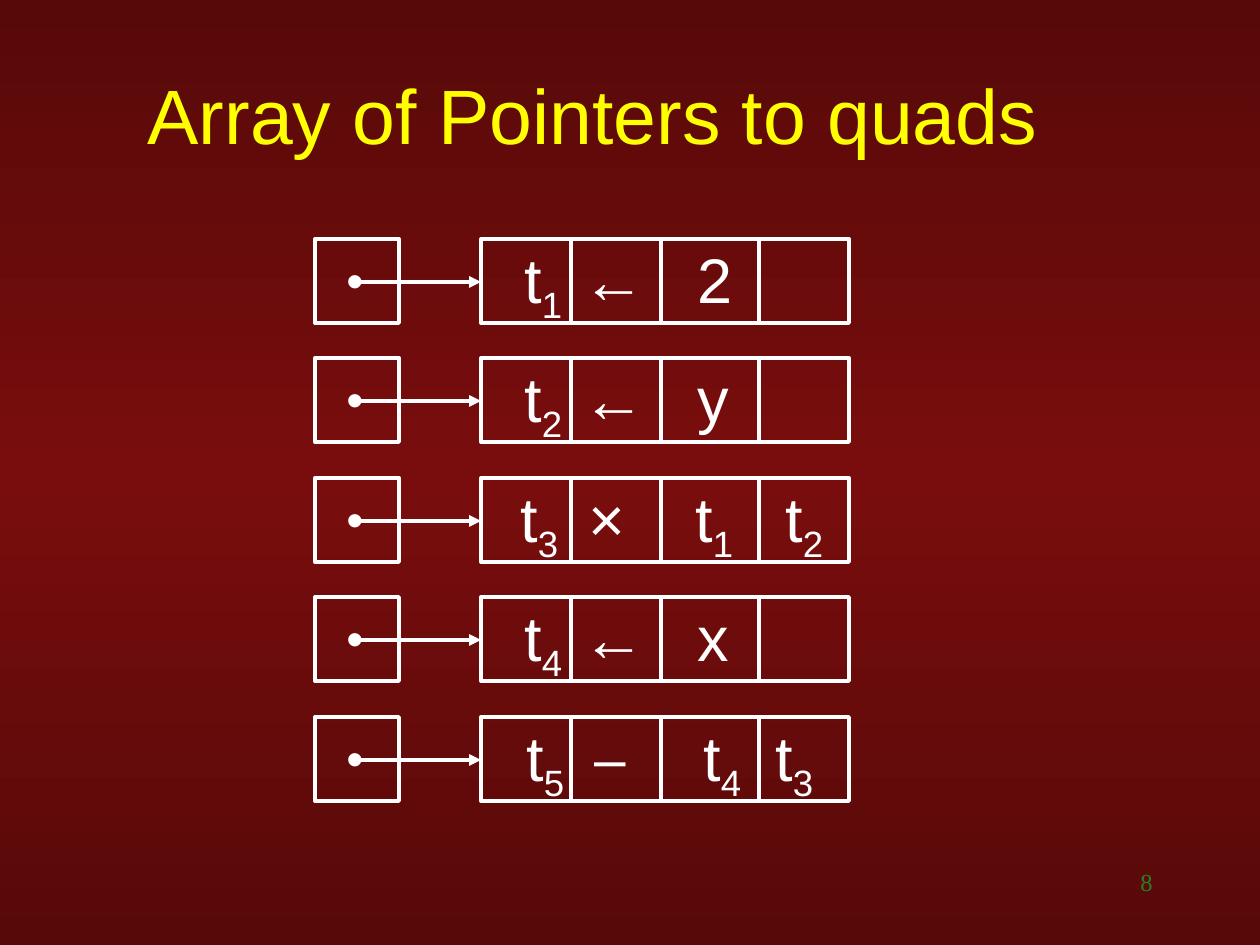
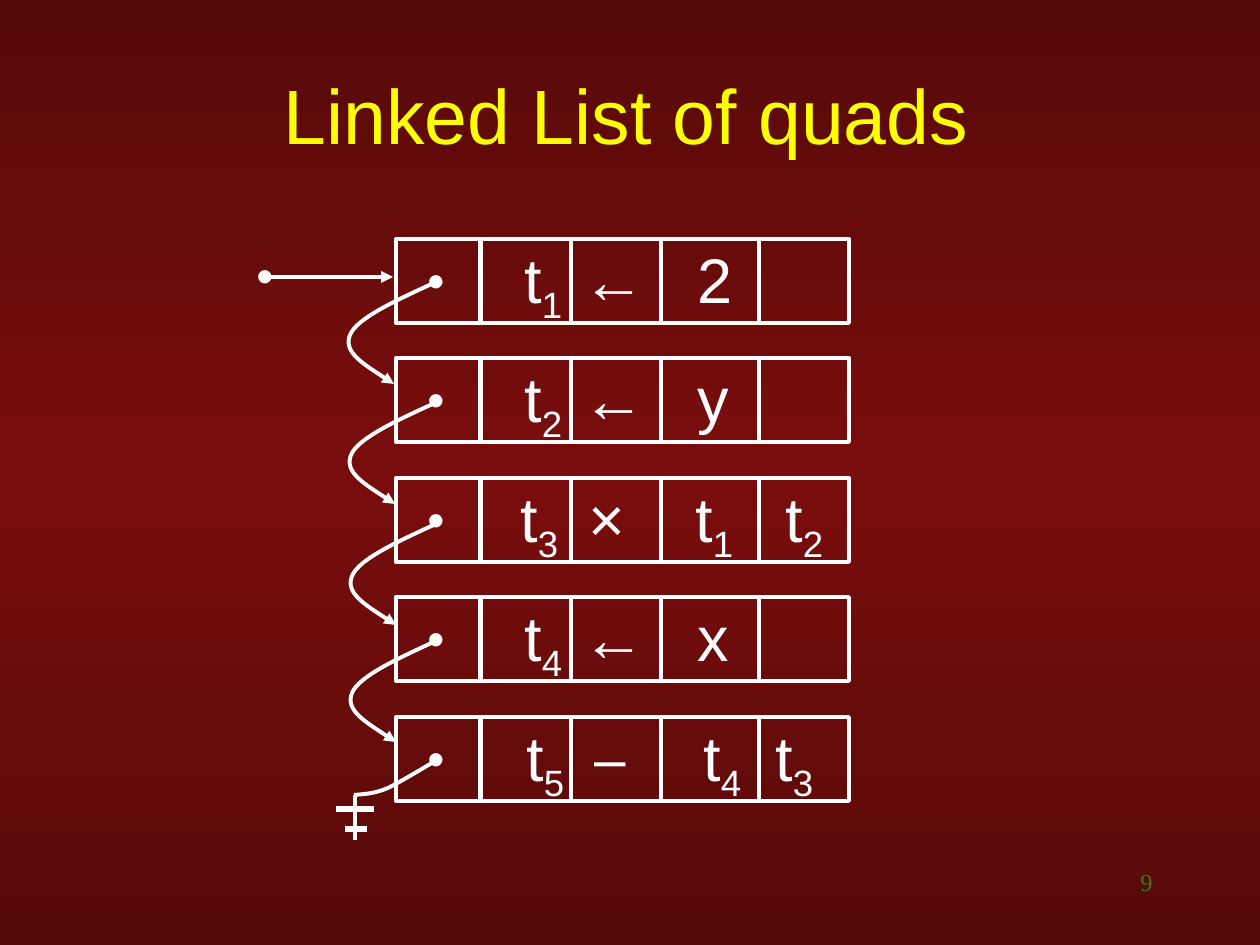
import copy
from dataclasses import dataclass

import pptx
import pptx.dml.color
import pptx.enum.shapes
import pptx.enum.text
import pptx.oxml.ns
import pptx.oxml.xmlchemy
import pptx.util

# Content: one quad per row; "t1" is the letter t with subscript 1.
# "left" is the box edge, "stops" the columns after the first, from the text edge.
QUADS = [
    {"cells": ("t1", "←", "2"), "left": 512, "stops": (58, 173)},
    {"cells": ("t2", "←", "y"), "left": 512, "stops": (58, 173)},
    {"cells": ("t3", "×", "t1", "t2"), "left": 508, "stops": (68, 175, 265)},
    {"cells": ("t4", "←", "x"), "left": 512, "stops": (58, 173)},
    {"cells": ("t5", "–", "t4", "t3"), "left": 514, "stops": (68, 177, 249)},
]
PAGES = [
    {"title": "Array of Pointers to quads", "title_left": 135, "title_width": 1051,
     "number": "8", "pointer_left": 315},
    {"title": "Linked List of quads", "title_left": 271, "title_width": 850,
     "number": "9", "pointer_left": 396},
]

# Geometry in px
PX_PER_INCH = 126
EMU_PER_PX = 914400 / PX_PER_INCH
PAGE_WIDTH, PAGE_HEIGHT = 1260, 945
FIRST_ROW, ROW_PITCH, CELL = 239, 119.5, 84
QUAD_LEFT, QUAD_WIDTH = 481, 368
DIVIDERS = (571, 661, 759)
ROW_TOPS = [FIRST_ROW + int(ROW_PITCH * index) for index in range(len(QUADS))]
LINK_CURVE = [(436, 43), (397, 61), (357, 79), (350, 96),
              (343, 113), (368, 128), (394, 145)]
LINK_SHIFTS = [(0, 0), (1, 1), (2, 2), (2, 0)]
GROUND_CURVE = [(437, 760), (420, 770), (402, 781), (388, 788),
                (374, 794), (364, 794), (354, 795)]


@dataclass(frozen=True)
class Theme:
    edge: str = "570909"
    middle: str = "790D0D"
    title: str = "FFFF00"
    ink: str = "FFFFFF"
    number: str = "2B7D27"
    font: str = "Arial"
    dash_font: str = "TeX Gyre Adventor"
    number_font: str = "Times New Roman"
    title_size: int = 44
    quad_size: int = 36
    dot_size: int = 28
    number_size: int = 14
    line: float = 2.25
    ground_line: float = 3


THEME = Theme()


def px(length):
    return pptx.util.Emu(round(length * EMU_PER_PX))


def rgb(code):
    return pptx.dml.color.RGBColor.from_string(code)


def xml(parent, tag, **attributes):
    child = pptx.oxml.xmlchemy.OxmlElement(tag)
    for name, value in attributes.items():
        child.set(name, str(value))
    parent.append(child)
    return child


def add_span(para, text, size, color=THEME.ink, font=THEME.font, subscript=False):
    span = para.add_run()
    span.text = text
    span.font.size = pptx.util.Pt(size)
    span.font.name = font
    span.font.color.rgb = rgb(color)
    if subscript:
        span._r.get_or_add_rPr().set("baseline", "-25000")


def add_box(page, left, top, width, height):
    """Add a wrapping text box and return its first paragraph."""
    box = page.shapes.add_textbox(px(left), px(top), px(width), px(height))
    box.text_frame.word_wrap = True
    return box.text_frame.paragraphs[0]


def style_line(shape, width=THEME.line, arrow=False):
    shape.line.color.rgb = rgb(THEME.ink)
    shape.line.width = pptx.util.Pt(width)
    if arrow:
        outline = shape.element.find(".//" + pptx.oxml.ns.qn("a:ln"))
        xml(outline, "a:tailEnd", type="triangle")


def add_line(page, start, end, **style):
    line = page.shapes.add_connector(
        pptx.enum.shapes.MSO_CONNECTOR.STRAIGHT, *map(px, start + end))
    style_line(line, **style)
    xml(line.element.spPr, "a:effectLst")


def add_frame(page, left, top, width):
    frame = page.shapes.add_shape(
        pptx.enum.shapes.MSO_SHAPE.RECTANGLE, px(left), px(top), px(width), px(CELL))
    frame.shadow.inherit = False
    frame.fill.background()
    style_line(frame)


def add_curve(page, points, **style):
    """Draw a start point followed by cubic segments of three points each."""
    builder = page.shapes.build_freeform(*points[0], scale=EMU_PER_PX)
    builder.add_line_segments(points[1:], close=False)
    curve = builder.convert_to_shape()
    steps = curve.element.findall(".//" + pptx.oxml.ns.qn("a:lnTo"))
    outline = steps[0].getparent()
    for first in range(0, len(steps), 3):
        cubic = xml(outline, "a:cubicBezTo")
        for step in steps[first:first + 3]:
            cubic.append(step[0])
            outline.remove(step)
    curve.shadow.inherit = False
    curve.fill.background()
    style_line(curve, **style)


def add_dot(page, left, top):
    add_span(add_box(page, left, top, 48, 72), "•", THEME.dot_size)


def add_quad(page, quad, top):
    add_frame(page, QUAD_LEFT, top, QUAD_WIDTH)
    para = add_box(page, quad["left"], top - 5, 377, 100)
    tabs = xml(para._p.get_or_add_pPr(), "a:tabLst")
    for stop in quad["stops"]:
        xml(tabs, "a:tab", pos=px(stop), algn="l")
    for column, cell in enumerate(quad["cells"]):
        if column:
            add_span(para, "\t", THEME.quad_size)
        font = THEME.dash_font if cell == "–" else THEME.font
        add_span(para, cell[0], THEME.quad_size, font=font)
        if cell[1:]:
            add_span(para, cell[1:], THEME.quad_size, subscript=True)
    for x in DIVIDERS:
        add_line(page, (x, top - 2), (x, top + CELL - 2))


def paint_background(master):
    fill = master.background.fill
    fill.gradient()
    fill.gradient_angle = 90
    stops = master.element.find(".//" + pptx.oxml.ns.qn("a:gsLst"))
    stops.append(copy.deepcopy(stops[-1]))
    colors = (THEME.edge, THEME.middle, THEME.edge)
    for stop, position, color in zip(fill.gradient_stops, (0, 0.5, 1), colors):
        stop.position = position
        stop.color.rgb = rgb(color)


def add_page(deck, content):
    """Add a page with its title, rows of quads and page number."""
    page = deck.slides.add_slide(deck.slide_layouts.get_by_name("Title Only"))
    title = page.shapes.title
    title.left, title.top = px(content["title_left"]), px(83)
    title.width, title.height = px(content["title_width"]), px(91)
    title.text_frame.vertical_anchor = pptx.enum.text.MSO_ANCHOR.TOP
    title.text_frame.auto_size = pptx.enum.text.MSO_AUTO_SIZE.NONE
    para = title.text_frame.paragraphs[0]
    para.alignment = pptx.enum.text.PP_ALIGN.LEFT
    para.line_spacing = 0.75
    para.space_before = pptx.util.Pt(0)
    para.space_after = pptx.util.Pt(22)
    properties = para._p.get_or_add_pPr()
    properties.set("marL", str(px(64)))
    properties.set("indent", str(px(-64)))
    add_span(para, content["title"], THEME.title_size, THEME.title)

    for quad, top in zip(QUADS, ROW_TOPS):
        add_frame(page, content["pointer_left"], top, CELL)
        add_quad(page, quad, top)
        add_dot(page, content["pointer_left"] + 19, top + 4)

    para = add_box(page, 903, 861, 262, 63)
    para.alignment = pptx.enum.text.PP_ALIGN.RIGHT
    add_span(para, content["number"], THEME.number_size, THEME.number, THEME.number_font)
    return page


def add_array_arrows(page):
    for top in ROW_TOPS:
        add_line(page, (359, top + 43), (QUAD_LEFT, top + 43), arrow=True)


def add_list_links(page):
    add_dot(page, 244, 238)
    add_line(page, (271, 277), (393, 277), arrow=True)
    for top, (dx, dy) in zip(ROW_TOPS, LINK_SHIFTS):
        add_curve(page, [(x + dx, top + y + dy) for x, y in LINK_CURVE], arrow=True)
    add_curve(page, GROUND_CURVE)
    add_line(page, (355, 795), (355, 840))
    for left, right, y in ((336, 374, 809), (345, 367, 829)):
        add_line(page, (right, y), (left, y), width=THEME.ground_line)


def main():
    deck = pptx.Presentation()
    deck.slide_width, deck.slide_height = px(PAGE_WIDTH), px(PAGE_HEIGHT)
    paint_background(deck.slide_master)
    for content, add_links in zip(PAGES, (add_array_arrows, add_list_links)):
        add_links(add_page(deck, content))
    deck.save("out.pptx")


if __name__ == "__main__":
    main()
